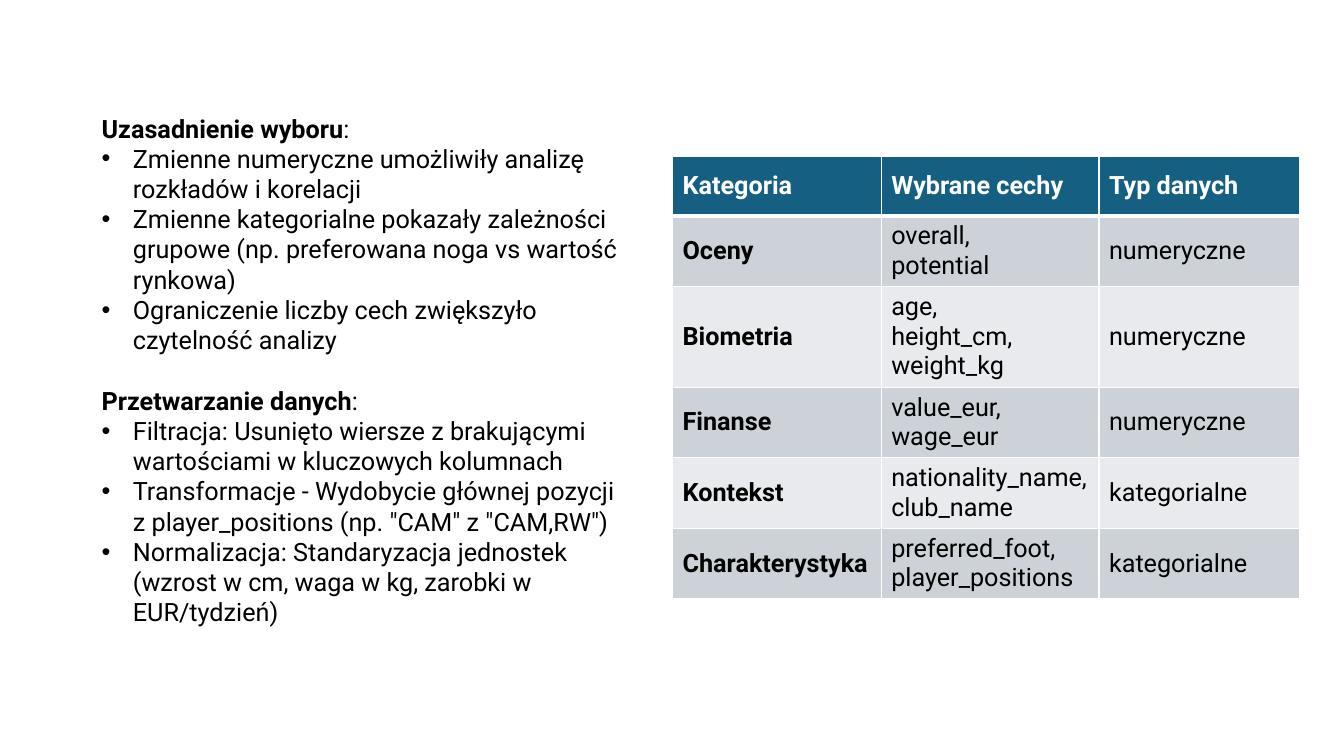
from pptx import Presentation
from pptx.dml.color import RGBColor
from pptx.enum.text import MSO_ANCHOR
from pptx.oxml.ns import qn
from pptx.util import Inches, Pt
from lxml.etree import SubElement

SECTIONS = [
    ("Uzasadnienie wyboru", [
        "Zmienne numeryczne umożliwiły analizę rozkładów i korelacji",
        "Zmienne kategorialne pokazały zależności grupowe (np. preferowana noga vs wartość rynkowa)",
        "Ograniczenie liczby cech zwiększyło czytelność analizy",
    ]),
    ("Przetwarzanie danych", [
        "Filtracja: Usunięto wiersze z brakującymi wartościami w kluczowych kolumnach",
        "Transformacje - Wydobycie głównej pozycji z player_positions (np. \"CAM\" z \"CAM,RW\")",
        "Normalizacja: Standaryzacja jednostek (wzrost w cm, waga w kg, zarobki w EUR/tydzień)",
    ]),
]

HEADER = ["Kategoria", "Wybrane cechy", "Typ danych"]
FEATURES = [
    ("Oceny", ["overall,", "potential"], "numeryczne"),
    ("Biometria", ["age,", "height_cm,", "weight_kg"], "numeryczne"),
    ("Finanse", ["value_eur,", "wage_eur"], "numeryczne"),
    ("Kontekst", ["nationality_name,", "club_name"], "kategorialne"),
    ("Charakterystyka", ["preferred_foot,", "player_positions"], "kategorialne"),
]
COLUMN_WIDTHS = [2.07, 2.16, 1.99]


def rgb(color):
    return RGBColor.from_string(color)


def add_run(p, text, bold=False, color="000000"):
    r = p.add_run()
    r.text = text
    r.font.name = "Roboto"
    r.font.size = Pt(18)
    r.font.bold = bold
    r.font.color.rgb = rgb(color)


def next_paragraph(tf, first):
    return tf.paragraphs[0] if first else tf.add_paragraph()


def set_bullet(p):
    pPr = p._p.get_or_add_pPr()
    pPr.set("marL", str(Inches(0.31)))
    pPr.set("indent", str(-Inches(0.31)))
    SubElement(pPr, qn("a:buFont")).set("typeface", "Arial")
    SubElement(pPr, qn("a:buChar")).set("char", "•")


def set_borders(cell, bottom):
    tcPr = cell._tc.get_or_add_tcPr()
    widths = {"a:lnL": 1, "a:lnR": 1, "a:lnT": 1, "a:lnB": bottom}
    for i, (tag, width) in enumerate(widths.items()):
        ln = tcPr.makeelement(qn(tag), {"w": str(Pt(width))})
        fill = SubElement(ln, qn("a:solidFill"))
        SubElement(fill, qn("a:srgbClr")).set("val", "FFFFFF")
        tcPr.insert(i, ln)  # borders come before the fill


def add_notes_column(s, x, y, w, h):
    tf = s.shapes.add_textbox(Inches(x), Inches(y), Inches(w), Inches(h)).text_frame
    tf.word_wrap = True
    for i, (heading, points) in enumerate(SECTIONS):
        p = next_paragraph(tf, i == 0)
        if i:
            p.space_before = Pt(21.6)
        add_run(p, heading, bold=True)
        add_run(p, ":")
        for point in points:
            p = tf.add_paragraph()
            set_bullet(p)
            add_run(p, point)


def fill_cell(cell, lines, fill, color="000000", bold=False, bottom=1):
    cell.fill.solid()
    cell.fill.fore_color.rgb = rgb(fill)
    cell.vertical_anchor = MSO_ANCHOR.MIDDLE
    set_borders(cell, bottom)
    for i, line in enumerate(lines):
        add_run(next_paragraph(cell.text_frame, i == 0), line, bold, color)


def add_feature_table(s, x, y, w, h):
    table = s.shapes.add_table(len(FEATURES) + 1, len(HEADER), Inches(x), Inches(y),
                               Inches(w), Inches(h)).table
    for column, width in zip(table.columns, COLUMN_WIDTHS):
        column.width = Inches(width)

    # Header row
    table.rows[0].height = Inches(0.59)
    for col, title in enumerate(HEADER):
        fill_cell(table.cell(0, col), [title], "156082", "FFFFFF", bold=True, bottom=3)

    # Banded rows, as tall as their list of features
    for row, (category, features, kind) in enumerate(FEATURES, 1):
        table.rows[row].height = Inches(0.1 + 0.3 * len(features))
        fill = "CCD2D8" if row % 2 else "E8EAED"
        for col, lines in enumerate([[category], features, [kind]]):
            fill_cell(table.cell(row, col), lines, fill, bold=col == 0)


def main():
    prs = Presentation()
    prs.slide_width, prs.slide_height = Inches(13.33), Inches(7.5)
    s = prs.slides.add_slide(prs.slide_layouts[6])
    add_notes_column(s, 0.91, 1.07, 5.42, 5.55)
    add_feature_table(s, 6.67, 1.55, sum(COLUMN_WIDTHS), 4.39)
    prs.save("out.pptx")


if __name__ == "__main__":
    main()
